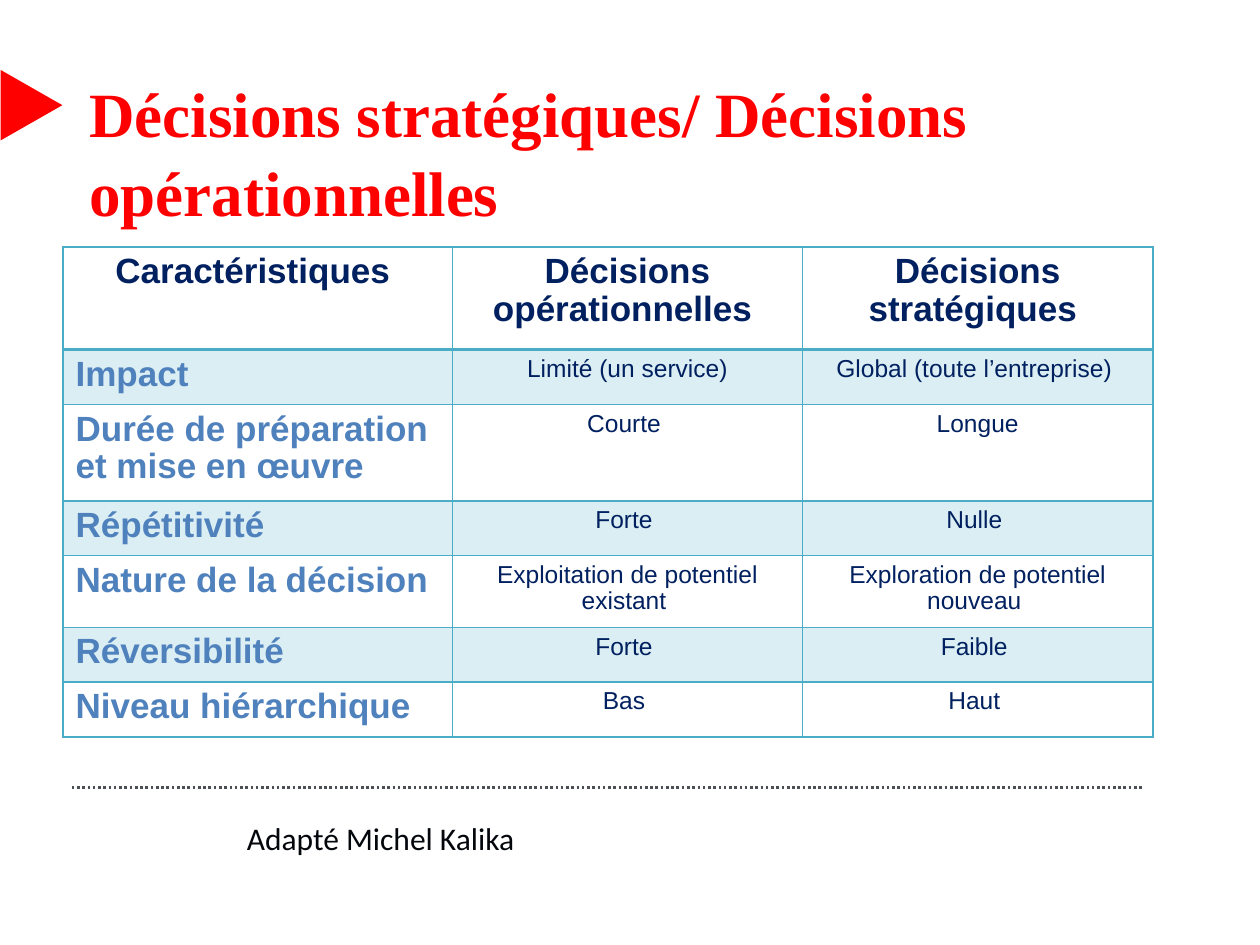
from dataclasses import dataclass

from lxml.etree import SubElement as Sub
from pptx import Presentation as Deck
from pptx.dml.color import RGBColor as Color
from pptx.enum.dml import MSO_LINE_DASH_STYLE as Dash
from pptx.enum.shapes import MSO_CONNECTOR as Link, MSO_SHAPE as Form
from pptx.enum.text import MSO_ANCHOR as Anchor, MSO_AUTO_SIZE as Fit, PP_ALIGN as Align
from pptx.oxml import parse_xml as parse
from pptx.oxml.ns import nsdecls, qn
from pptx.util import Inches, Pt

RED = Color(0xFF, 0x00, 0x00)
NAVY = Color(0x00, 0x20, 0x60)
BLUE = Color(0x4F, 0x81, 0xBD)
TEAL = Color(0x4B, 0xAC, 0xC6)
GREY = Color(0x4C, 0x4F, 0x54)
INK = Color(0x03, 0x07, 0x0C)

WIDE, HIGH = Inches(10), Inches(7.5)
COLS, ROWS = 100, 75


@dataclass(frozen=True)
class Style:
    font: str
    size: int
    color: Color
    bold: bool = False
    align: Align = Align.LEFT
    lead: float = 1.0


@dataclass(frozen=True)
class Line:
    high: float
    texts: tuple[str, str, str]


TITLE = Style("Times New Roman", 36, RED, True, lead=1.05)
HEAD = Style("Arial", 20, NAVY, True, Align.CENTER, 0.97)
LABEL = Style("Arial", 20, BLUE, True, lead=0.97)
VALUE = Style("Arial", 14, NAVY, False, Align.CENTER, 0.97)
NOTE = Style("Calibri", 18, INK)

WIDTHS = (30.9, 27.8, 27.8)
LINES = (
    Line(8.15, ("Caractéristiques ", "Décisions opérationnelles ", "Décisions stratégiques ")),
    Line(4.35, ("Impact", "Limité (un service)", "Global (toute l’entreprise) ")),
    Line(7.65, ("Durée de préparation et mise en œuvre", "Courte ", "Longue")),
    Line(4.35, ("Répétitivité", "Forte ", "Nulle ")),
    Line(5.7, ("Nature de la décision", "Exploitation de potentiel existant ",
               "Exploration de potentiel nouveau ")),
    Line(4.35, ("Réversibilité", "Forte ", "Faible ")),
    Line(4.35, ("Niveau hiérarchique", "Bas ", "Haut ")),
)


def across(cols: float) -> int:
    return round(WIDE * cols / COLS)


def down(rows: float) -> int:
    return round(HIGH * rows / ROWS)


def area(x: float, y: float, w: float, h: float) -> tuple[int, int, int, int]:
    return across(x), down(y), across(w), down(h)


def write(frame, text: str, style: Style) -> None:
    frame.word_wrap = True
    para = frame.paragraphs[0]
    para.alignment = style.align
    para.line_spacing = style.lead
    run = para.add_run()
    run.text = text
    font = run.font
    font.name, font.size, font.bold = style.font, Pt(style.size), style.bold
    font.color.rgb = style.color


def edge(cell, sides: dict[str, int]) -> None:
    props = cell._tc.get_or_add_tcPr()
    for spot, (side, width) in enumerate(sides.items()):
        props.insert(spot, parse(
            f'<a:ln{side} {nsdecls("a")} w="{Pt(width)}"><a:solidFill>'
            f'<a:srgbClr val="{TEAL}"/></a:solidFill></a:ln{side}>'))


def tint(cell, share: int) -> None:
    cell.fill.solid()
    cell.fill.fore_color.rgb = TEAL
    color = cell._tc.tcPr.find(f'{qn("a:solidFill")}/{qn("a:srgbClr")}')
    Sub(color, qn("a:alpha"), val=str(share * 1000))


def grid(shapes) -> None:
    box = area(5, 19.6, sum(WIDTHS), sum(line.high for line in LINES))
    table = shapes.add_table(len(LINES), len(WIDTHS), *box).table
    table.first_row = table.horz_banding = False
    for col, width in zip(table.columns, WIDTHS):
        col.width = across(width)
    for r, line in enumerate(LINES):
        table.rows[r].height = down(line.high)
        for c, text in enumerate(line.texts):
            cell = table.cell(r, c)
            write(cell.text_frame, text, HEAD if r == 0 else VALUE if c else LABEL)
            if r % 2:
                tint(cell, 20)
            else:
                cell.fill.background()
            edge(cell, {"L": 1, "R": 1, "T": 2 if r == 1 else 1, "B": 2 if r == 0 else 1})


def rule(shapes) -> None:
    y = down(62.5)
    line = shapes.add_connector(Link.STRAIGHT, across(5.7), y, across(90.7), y)
    line.line.color.rgb = GREY
    line.line.width = Pt(1.5)
    line.line.dash_style = Dash.ROUND_DOT
    Sub(line._element.spPr, qn("a:effectLst"))


def mark(shapes) -> None:
    shape = shapes.add_shape(Form.ISOSCELES_TRIANGLE, *area(-0.3, 5.9, 5.6, 4.9))
    shape.rotation = 90
    shape.shadow.inherit = False
    shape.fill.solid()
    shape.fill.fore_color.rgb = RED
    shape.line.fill.background()


def head(title) -> None:
    title.left, title.top, title.width, title.height = area(6.1, 5.1, 85, 14.5)
    frame = title.text_frame
    frame.auto_size = Fit.NONE
    frame.vertical_anchor = Anchor.TOP
    write(frame, "Décisions stratégiques/ Décisions opérationnelles", TITLE)


def note(shapes) -> None:
    frame = shapes.add_textbox(*area(19.6, 65, 39.7, 3)).text_frame
    frame.margin_left = frame.margin_right = frame.margin_top = frame.margin_bottom = 0
    write(frame, "Adapté Michel Kalika", NOTE)


def main() -> None:
    deck = Deck()
    deck.slide_width, deck.slide_height = WIDE, HIGH
    shapes = deck.slides.add_slide(deck.slide_layouts[5]).shapes
    grid(shapes)
    rule(shapes)
    mark(shapes)
    head(shapes.title)
    note(shapes)
    deck.save("out.pptx")


if __name__ == "__main__":
    main()
